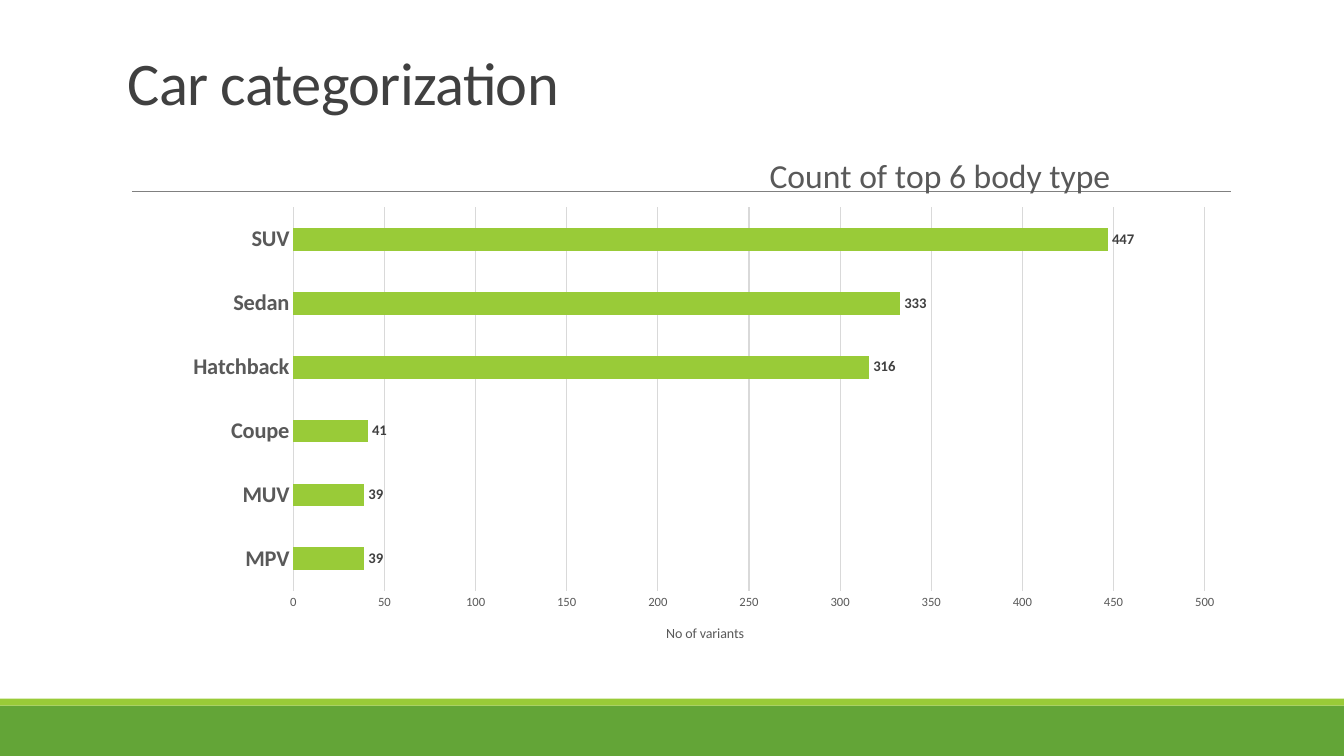
"""Builds the car categorization slide with a bar chart of body types."""
from lxml import etree
from pptx import Presentation
from pptx.chart.data import CategoryChartData
from pptx.dml.color import RGBColor
from pptx.enum import chart as kinds, shapes, text
from pptx.oxml.ns import qn
from pptx.util import Pt


def style(font, size, color, bold=False):
    font.name, font.size, font.bold = "Calibri", Pt(size), bold
    font.color.rgb = RGBColor.from_string(color)


def place(part, index, **edges):
    for old in part.findall(qn("c:layout")):
        part.remove(old)
    layout = etree.Element(qn("c:layout"))
    manual = etree.SubElement(layout, qn("c:manualLayout"))
    for tag, val in edges.items():
        etree.SubElement(manual, qn("c:" + tag)).set("val", str(val))
    part.insert(index, layout)


deck = Presentation()
deck.slide_width, deck.slide_height = Pt(960), Pt(540)
slide = deck.slides.add_slide(deck.slide_layouts[5])

for top, height, color in ((504, 36, "63A537"), (499, 5, "99CB38")):
    band = slide.shapes.add_shape(
        shapes.MSO_SHAPE.RECTANGLE, 0, Pt(top), Pt(960), Pt(height))
    band.shadow.inherit = False
    band.fill.solid()
    band.fill.fore_color.rgb = RGBColor.from_string(color)
    band.line.fill.background()

rule = slide.shapes.add_connector(
    shapes.MSO_CONNECTOR.STRAIGHT, Pt(94.3), Pt(136.8), Pt(879), Pt(136.8))
rule.line.width = Pt(0.5)
rule.line.color.rgb = RGBColor.from_string("808080")
etree.SubElement(rule._element.spPr, qn("a:effectLst"))

title = slide.shapes.title
title.left, title.top, title.width, title.height = Pt(84), Pt(44.6), Pt(792), Pt(43.2)
frame = title.text_frame
frame.text = "Car categorization"
frame.auto_size = text.MSO_AUTO_SIZE.NONE
frame.vertical_anchor = text.MSO_ANCHOR.BOTTOM
para = frame.paragraphs[0]
para.alignment = text.PP_ALIGN.LEFT
para.line_spacing = 0.85
style(para.runs[0].font, 43.2, "404040")
para.runs[0].font._element.set("spc", "-50")

data = CategoryChartData()
data.categories = ["MPV", "MUV", "Coupe", "Hatchback", "Sedan", "SUV"]
data.add_series("Series 1", (39, 39, 41, 316, 333, 447))
chart = slide.shapes.add_chart(
    kinds.XL_CHART_TYPE.BAR_CLUSTERED,
    Pt(86), Pt(105.1), Pt(792), Pt(368.6), data).chart
style(chart.font, 10, "000000")
chart.has_legend = False

cats, vals = chart.category_axis, chart.value_axis
for axis, size, bold in ((cats, 16, True), (vals, 9, False)):
    style(axis.tick_labels.font, size, "595959", bold)
    axis.major_tick_mark = axis.minor_tick_mark = kinds.XL_TICK_MARK.NONE
vals.minimum_scale, vals.maximum_scale, vals.major_unit = 0, 500, 50
vals.format.line.fill.background()
for line in (cats.format.line, vals.major_gridlines.format.line):
    line.width = Pt(0.75)
    line.color.rgb = RGBColor.from_string("D9D9D9")

for head, words, size, x, y in (
        (chart.chart_title, "Count of top 6 body type", 24, 0.58, 0),
        (vals.axis_title, "No of variants", 10, 0.49, 0.92)):
    head.text_frame.text = words
    style(head.text_frame.paragraphs[0].runs[0].font, size, "595959")
    head._element.find(".//" + qn("a:bodyPr")).set("rot", "0")
    place(head._element, 1, xMode="edge", yMode="edge", x=x, y=y)
chart.chart_title.include_in_layout = False
place(chart._chartSpace.chart.plotArea, 0, layoutTarget="inner",
      xMode="edge", yMode="edge", x=0.156, y=0.117, w=0.822, h=0.743)

plot = chart.plots[0]
plot.gap_width = 182
plot.vary_by_categories = False
bars = plot.series[0]
bars.format.fill.solid()
bars.format.fill.fore_color.rgb = RGBColor.from_string("99CB38")
labels = bars.data_labels
labels.show_value = True
labels.position = kinds.XL_LABEL_POSITION.OUTSIDE_END
style(labels.font, 10.5, "404040", True)

deck.save("out.pptx")
